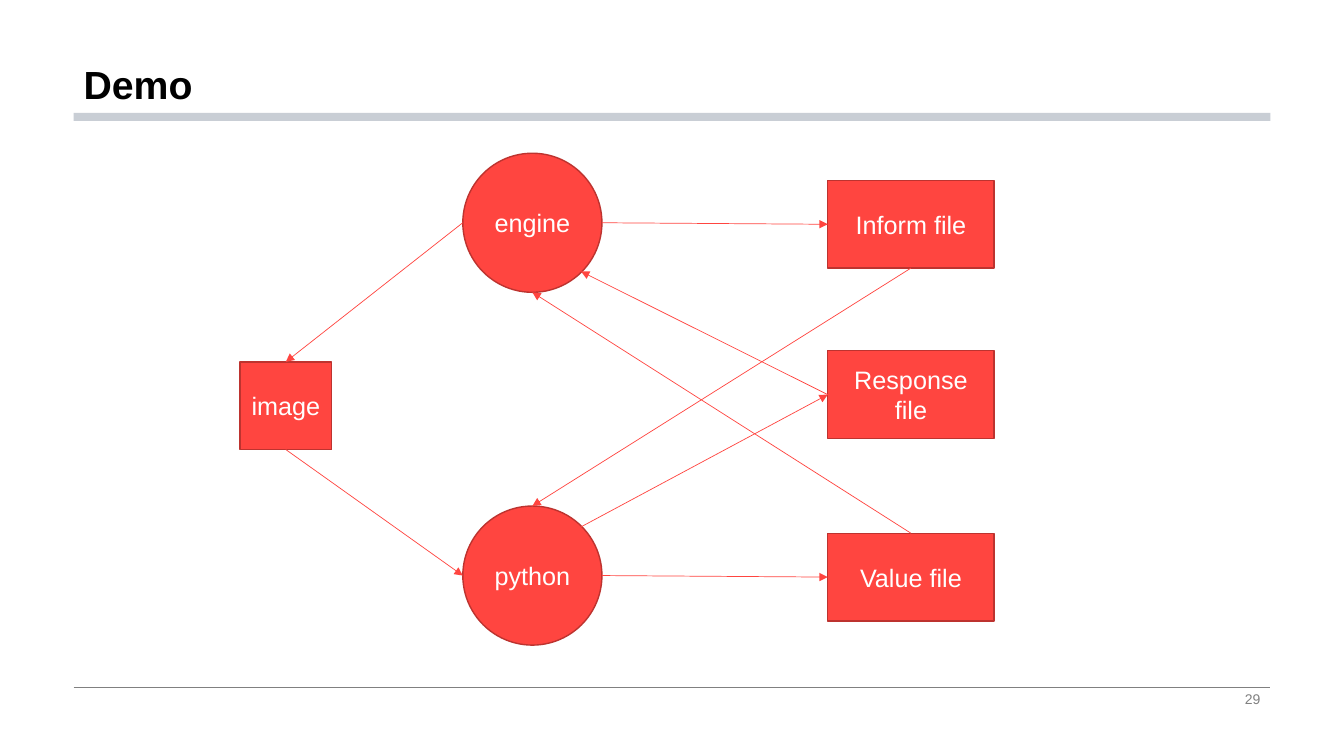
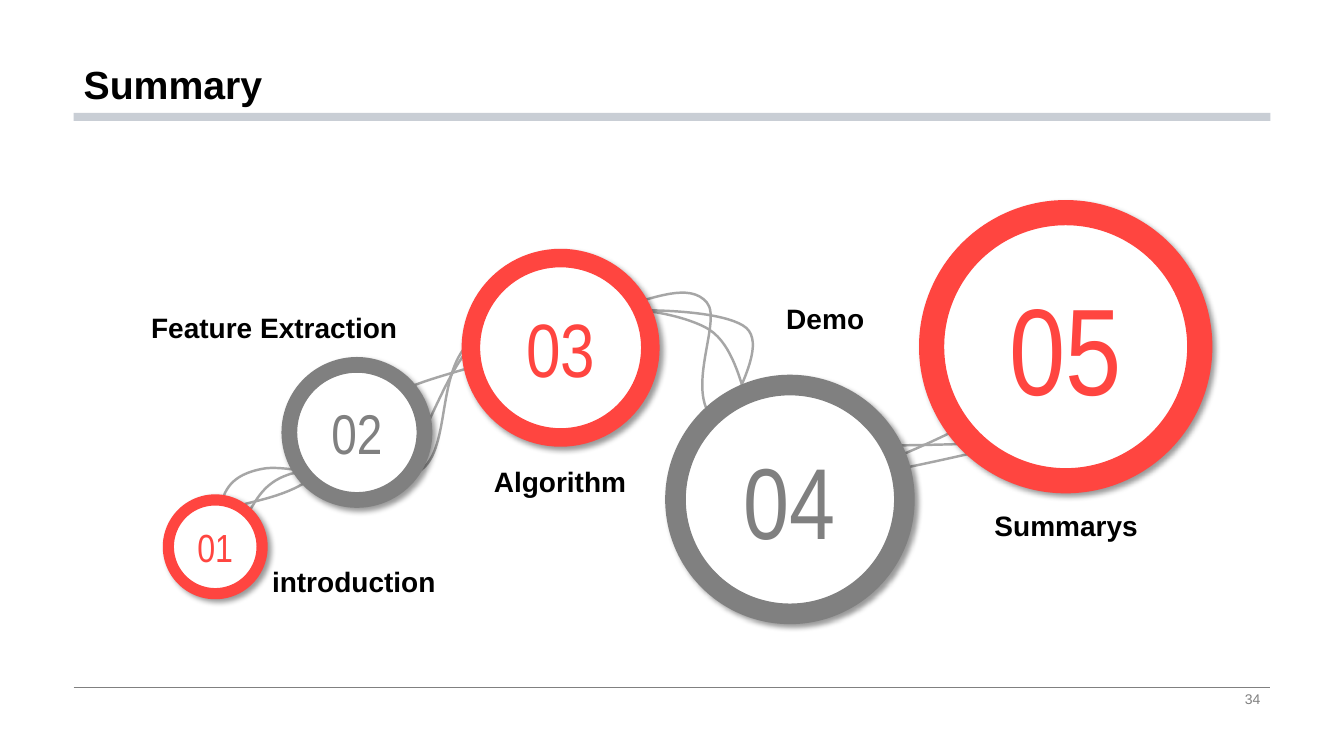
from dataclasses import dataclass
from typing import NamedTuple

from pptx import Presentation
from pptx.dml.color import RGBColor
from pptx.enum.shapes import MSO_CONNECTOR, MSO_SHAPE
from pptx.enum.text import MSO_ANCHOR, MSO_AUTO_SIZE, PP_ALIGN
from pptx.oxml.ns import qn
from pptx.oxml.xmlchemy import OxmlElement
from pptx.util import Inches, Pt


@dataclass(frozen=True)
class Theme:
    black: RGBColor = RGBColor(0x00, 0x00, 0x00)
    white: RGBColor = RGBColor(0xFF, 0xFF, 0xFF)
    red: RGBColor = RGBColor(0xFF, 0x45, 0x40)
    dark_red: RGBColor = RGBColor(0xBD, 0x33, 0x2F)
    gray: RGBColor = RGBColor(0x80, 0x80, 0x80)
    thread: RGBColor = RGBColor(0xA6, 0xA6, 0xA6)
    band: RGBColor = RGBColor(0xC9, 0xCE, 0xD5)
    font: str = "Arial"
    number_font: str = "Arial Narrow"
    title_size: int = 28
    label_size: int = 20
    node_size: int = 18
    footer_size: int = 10


THEME = Theme()
MARGIN, CONTENT_WIDTH = 0.73, 11.87
BAND_TOP, FOOTER_TOP = 1.12, 6.82


class Side(NamedTuple):
    """A point as fractions of a node's size, with its site on a rectangle."""
    across: float
    down: float
    site: int | None = None


TOP = Side(0.5, 0, 0)
LEFT = Side(0, 0.5, 1)
BOTTOM = Side(0.5, 1, 2)
RIGHT = Side(1, 0.5, 3)
UPPER_RIGHT = Side(0.85, 0.15)
LOWER_RIGHT = Side(0.85, 0.85)


@dataclass(frozen=True)
class Node:
    text: str
    left: float
    top: float
    width: float
    height: float
    is_circle: bool = False

    def point(self, side: Side) -> tuple[int, int]:
        return (Inches(self.left + side.across * self.width),
                Inches(self.top + side.down * self.height))


class Link(NamedTuple):
    start: Node
    start_side: Side
    end: Node
    end_side: Side


class Ring(NamedTuple):
    number: str
    left: float
    top: float
    diameter: float
    line_width: float
    size: int
    color: RGBColor


class Label(NamedTuple):
    text: str
    left: float
    top: float
    width: float = 2.13
    alignment: PP_ALIGN = PP_ALIGN.CENTER


ENGINE = Node("engine", 4.59, 1.52, 1.38, 1.38, True)
PYTHON = Node("python", 4.59, 5.02, 1.38, 1.38, True)
INFORM = Node("Inform file", 8.21, 1.79, 1.65, 0.87)
RESPONSE = Node("Response file", 8.21, 3.48, 1.65, 0.87)
VALUE = Node("Value file", 8.21, 5.29, 1.65, 0.87)
IMAGE = Node("image", 2.38, 3.59, 0.91, 0.87)
NODES = [ENGINE, INFORM, PYTHON, RESPONSE, VALUE, IMAGE]
LINKS = [
    Link(ENGINE, RIGHT, INFORM, LEFT),
    Link(INFORM, BOTTOM, PYTHON, TOP),
    Link(PYTHON, UPPER_RIGHT, RESPONSE, LEFT),
    Link(PYTHON, RIGHT, VALUE, LEFT),
    Link(RESPONSE, LEFT, ENGINE, LOWER_RIGHT),
    Link(VALUE, TOP, ENGINE, BOTTOM),
    Link(IMAGE, BOTTOM, PYTHON, LEFT),
    Link(ENGINE, LEFT, IMAGE, TOP),
]

RINGS = [
    Ring("01", 1.67, 4.96, 0.93, 8, 28, THEME.red),
    Ring("02", 2.87, 3.62, 1.34, 11.25, 40, THEME.gray),
    Ring("03", 4.67, 2.56, 1.78, 13.25, 54, THEME.red),
    Ring("04", 6.7, 3.82, 2.27, 14.75, 72, THEME.gray),
    Ring("05", 9.24, 2.11, 2.66, 18, 88, THEME.red),
]
LABELS = [
    Label("Feature Extraction", 1.4, 3.05, 2.81, PP_ALIGN.LEFT),
    Label("Algorithm", 4.49, 4.57),
    Label("Summarys", 9.51, 5.01),
    Label("Demo", 7.12, 2.96),
    Label("introduction", 2.6, 5.57, alignment=PP_ALIGN.LEFT),
]
# Each thread: a start point, then two control points and an end point per curve.
THREADS = [
    [(2.18, 5.03), (2.23, 4.87), (2.28, 4.71), (2.61, 4.65),
     (2.94, 4.59), (3.79, 4.91), (4.15, 4.68), (4.52, 4.46), (4.27, 3.54), (4.8, 3.3),
     (5.34, 3.05), (6.98, 2.99), (7.37, 3.23), (7.77, 3.47), (6.78, 4.54), (7.18, 4.75),
     (7.59, 4.95), (8.7, 4.71), (9.8, 4.46)],
    [(2.43, 5), (2.67, 4.94), (2.9, 4.89), (3.13, 4.72),
     (3.36, 4.54), (3.5, 4.16), (3.82, 3.96), (4.14, 3.76), (4.67, 3.67), (5.05, 3.52),
     (5.44, 3.36), (5.83, 3.13), (6.16, 3.04), (6.49, 2.96), (6.84, 2.8), (7.01, 3),
     (7.18, 3.19), (6.72, 3.99), (7.17, 4.23), (7.62, 4.46), (8.67, 4.43), (9.73, 4.4)],
    [(2.47, 5.08), (2.56, 4.92), (2.65, 4.77), (2.89, 4.7),
     (3.13, 4.63), (3.58, 4.93), (3.92, 4.68), (4.26, 4.44), (4.42, 3.46), (4.93, 3.22),
     (5.44, 2.98), (6.52, 3), (7, 3.25), (7.47, 3.5), (7.37, 4.54), (7.8, 4.7),
     (8.23, 4.86), (8.92, 4.54), (9.6, 4.21)],
]


def write(shape, text: str, size: int, color: RGBColor, *,
          alignment: PP_ALIGN = PP_ALIGN.CENTER, anchor: MSO_ANCHOR = MSO_ANCHOR.MIDDLE,
          bold: bool = False, font_name: str = THEME.font, wrap: bool = True,
          line_spacing: float | None = None) -> None:
    frame = shape.text_frame
    frame.text = text
    frame.word_wrap = wrap
    frame.auto_size = MSO_AUTO_SIZE.NONE
    frame.vertical_anchor = anchor
    paragraph = frame.paragraphs[0]
    paragraph.alignment = alignment
    paragraph.line_spacing = line_spacing
    font = paragraph.runs[0].font
    font.name, font.size, font.bold = font_name, Pt(size), bold
    font.color.rgb = color


def add_filled_shape(slide, kind: MSO_SHAPE, left: float, top: float, width: float,
                     height: float, fill: RGBColor, line: RGBColor | None = None,
                     line_width: float = 1):
    shape = slide.shapes.add_shape(kind, Inches(left), Inches(top),
                                   Inches(width), Inches(height))
    shape.shadow.inherit = False
    shape.fill.solid()
    shape.fill.fore_color.rgb = fill
    if line is None:
        shape.line.fill.background()
    else:
        shape.line.color.rgb = line
        shape.line.width = Pt(line_width)
    return shape


def add_line(slide, start: tuple[int, int], end: tuple[int, int], color: RGBColor):
    connector = slide.shapes.add_connector(MSO_CONNECTOR.STRAIGHT, *start, *end)
    connector.line.color.rgb = color
    connector.line.width = Pt(0.5)
    connector._element.spPr.append(OxmlElement("a:effectLst"))
    return connector


def add_framed_slide(presentation, title: str, number: str):
    """Add a title-only slide with the shared title, band, rule and number."""
    slide = presentation.slides.add_slide(presentation.slide_layouts[5])
    heading = slide.shapes.title
    heading.left, heading.top = Inches(MARGIN), Inches(0)
    heading.width, heading.height = Inches(CONTENT_WIDTH), Inches(BAND_TOP)
    write(heading, title, THEME.title_size, THEME.black, alignment=PP_ALIGN.LEFT,
          anchor=MSO_ANCHOR.BOTTOM, bold=True, line_spacing=0.9)
    add_filled_shape(slide, MSO_SHAPE.RECTANGLE, MARGIN, BAND_TOP, CONTENT_WIDTH, 0.08,
                     THEME.band)
    right = MARGIN + CONTENT_WIDTH
    add_line(slide, (Inches(MARGIN), Inches(FOOTER_TOP)),
             (Inches(right), Inches(FOOTER_TOP)), THEME.gray)
    footer = slide.shapes.add_textbox(Inches(right - 3.18), Inches(FOOTER_TOP),
                                      Inches(3.18), Inches(0.23))
    write(footer, number, THEME.footer_size, THEME.gray, alignment=PP_ALIGN.RIGHT)
    return slide


def add_node(slide, node: Node):
    kind = (MSO_SHAPE.FLOWCHART_CONNECTOR if node.is_circle
            else MSO_SHAPE.FLOWCHART_PROCESS)
    shape = add_filled_shape(slide, kind, node.left, node.top, node.width, node.height,
                             THEME.red, THEME.dark_red)
    write(shape, node.text, THEME.node_size, THEME.white)
    return shape


def add_link(slide, link: Link, shapes: dict) -> None:
    """Draw an arrow between two nodes, joined wherever it meets a rectangle."""
    connector = add_line(slide, link.start.point(link.start_side),
                         link.end.point(link.end_side), THEME.red)
    if not link.start.is_circle:
        connector.begin_connect(shapes[link.start], link.start_side.site)
    if not link.end.is_circle:
        connector.end_connect(shapes[link.end], link.end_side.site)
    arrowhead = OxmlElement("a:tailEnd")
    arrowhead.set("type", "triangle")
    connector.line._get_or_add_ln().append(arrowhead)


def add_thread(slide, points: list[tuple[float, float]]) -> None:
    """Draw a freeform, turning each three line segments into one Bézier curve."""
    start, *rest = [(Inches(x), Inches(y)) for x, y in points]
    builder = slide.shapes.build_freeform(*start)
    builder.add_line_segments(rest, close=False)
    shape = builder.convert_to_shape()
    segments = list(shape._element.iter(qn("a:lnTo")))
    outline = segments[0].getparent()
    for first in range(0, len(segments), 3):
        curve = OxmlElement("a:cubicBezTo")
        for segment in segments[first:first + 3]:
            curve.append(segment[0])
            outline.remove(segment)
        outline.append(curve)
    shape.shadow.inherit = False
    shape.fill.background()
    shape.line.color.rgb = THEME.thread
    shape.line.width = Pt(1.75)


def add_soft_shadow(shape) -> None:
    shadow = OxmlElement("a:outerShdw")
    for name, value in (("blurRad", Pt(4)), ("dist", Pt(3)), ("dir", 45 * 60000),
                        ("algn", "tl"), ("rotWithShape", 0)):
        shadow.set(name, str(int(value)) if name != "algn" else value)
    color = OxmlElement("a:srgbClr")
    color.set("val", str(THEME.black))
    alpha = OxmlElement("a:alpha")
    alpha.set("val", "40000")
    color.append(alpha)
    shadow.append(color)
    shape._element.spPr.find(qn("a:effectLst")).append(shadow)


def add_ring(slide, ring: Ring) -> None:
    shape = add_filled_shape(slide, MSO_SHAPE.OVAL, ring.left, ring.top, ring.diameter,
                             ring.diameter, THEME.white, ring.color, ring.line_width)
    add_soft_shadow(shape)
    write(shape, ring.number, ring.size, ring.color, font_name=THEME.number_font,
          wrap=False)


def add_label(slide, label: Label) -> None:
    box = slide.shapes.add_textbox(Inches(label.left), Inches(label.top),
                                   Inches(label.width), Inches(0.42))
    write(box, label.text, THEME.label_size, THEME.black, alignment=label.alignment,
          anchor=MSO_ANCHOR.BOTTOM, bold=True, line_spacing=0.9)


def build_demo(presentation) -> None:
    slide = add_framed_slide(presentation, "Demo", "29")
    shapes = {node: add_node(slide, node) for node in NODES}
    for link in LINKS:
        add_link(slide, link, shapes)


def build_summary(presentation) -> None:
    slide = add_framed_slide(presentation, "Summary", "34")
    for points in THREADS:
        add_thread(slide, points)
    for ring in RINGS:
        add_ring(slide, ring)
    for label in LABELS:
        add_label(slide, label)


def main() -> None:
    presentation = Presentation()
    presentation.slide_width = Inches(13.33)
    presentation.slide_height = Inches(7.5)
    build_demo(presentation)
    build_summary(presentation)
    presentation.save("out.pptx")


if __name__ == "__main__":
    main()
